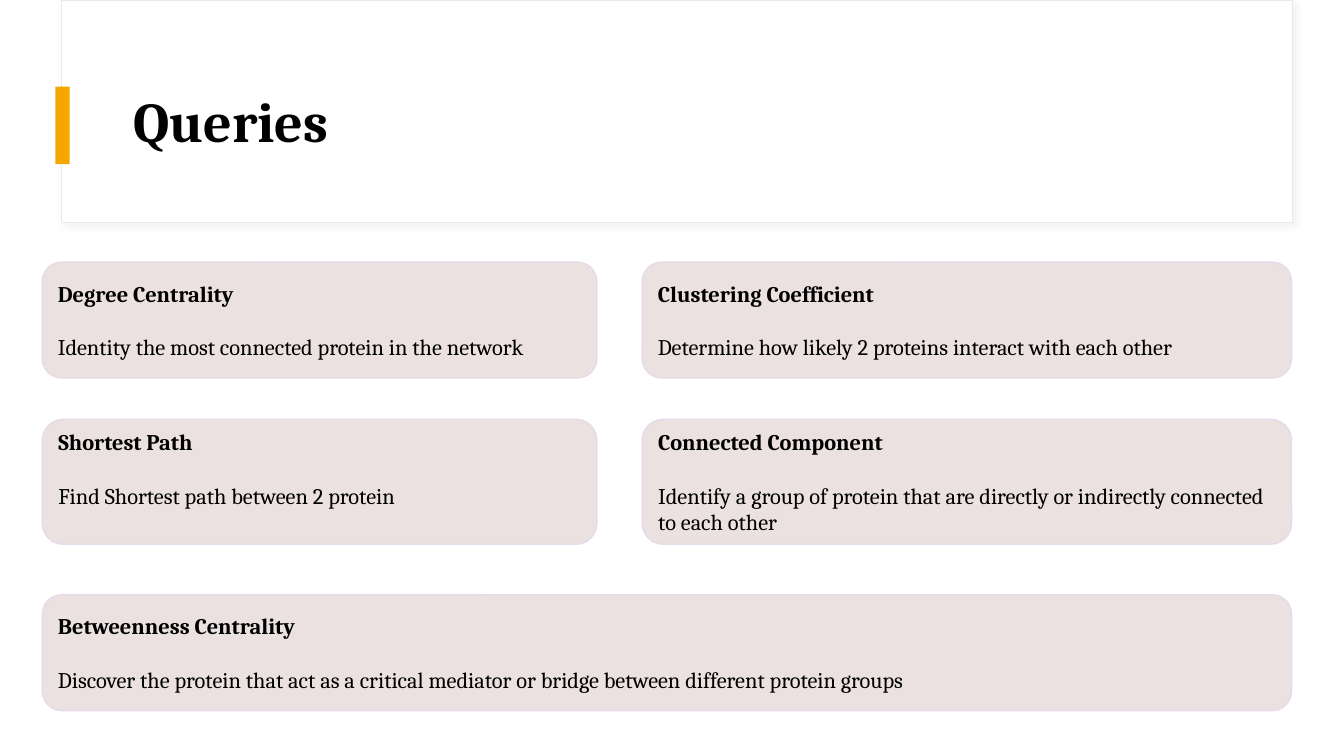
import pptx
import pptx.dml.color
import pptx.enum.shapes
import pptx.enum.text
import pptx.oxml
import pptx.oxml.ns
import pptx.util

Inches = pptx.util.Inches
Pt = pptx.util.Pt
SHAPE = pptx.enum.shapes.MSO_SHAPE
ANCHOR = pptx.enum.text.MSO_ANCHOR
ALIGN = pptx.enum.text.PP_ALIGN


def color(value):
    return pptx.dml.color.RGBColor.from_string(value)


class QueriesSlide:
    font = "Cambria"
    ink = "000000"
    card_fill = "EBE1E1"
    card_line = "E7DAEA"

    def __init__(self, deck):
        self.page = deck.slides.add_slide(deck.slide_layouts[5])

    def style(self, para, size, bold):
        para.alignment = ALIGN.LEFT
        for span in para.runs:
            span.font.name = self.font
            span.font.size = Pt(size)
            span.font.bold = bold
            span.font.color.rgb = color(self.ink)

    def shape(self, kind, left, top, width, height, fill, line=None, weight=1):
        box = self.page.shapes.add_shape(
            kind, Inches(left), Inches(top), Inches(width), Inches(height))
        box.shadow.inherit = False
        box.fill.solid()
        box.fill.fore_color.rgb = color(fill)
        if line:
            box.line.color.rgb = color(line)
            box.line.width = Pt(weight)
        else:
            box.line.fill.background()
        return box

    def header_panel(self):
        panel = self.shape(SHAPE.RECTANGLE, 0.61, 0, 12.21, 2.21, "FFFFFF", "E9E9E9", 0.75)
        effects = panel.element.spPr.find(pptx.oxml.ns.qn("a:effectLst"))
        effects.append(pptx.oxml.parse_xml(
            f'<a:outerShdw {pptx.oxml.ns.nsdecls("a")} blurRad="{Pt(4)}" dist="{Pt(3)}" '
            'dir="2700000" algn="tl" rotWithShape="0">'
            '<a:srgbClr val="D9D9D9"><a:alpha val="30000"/></a:srgbClr></a:outerShdw>'))
        self.shape(SHAPE.RECTANGLE, 0.55, 0.86, 0.14, 0.77, "F5A700")

    def title(self, text):
        box = self.page.shapes.title
        box.left, box.top = Inches(1.22), Inches(0.6)
        box.width, box.height = Inches(11.12), Inches(1.26)
        frame = box.text_frame
        frame.text = text
        frame.word_wrap = True
        frame.auto_size = pptx.enum.text.MSO_AUTO_SIZE.NONE
        frame.vertical_anchor = ANCHOR.MIDDLE
        para = frame.paragraphs[0]
        para.line_spacing = 0.9
        self.style(para, 40, True)
        box.element.getparent().append(box.element)

    def card(self, left, top, width, height, heading, detail, bottom_inset=0.05):
        box = self.shape(SHAPE.ROUNDED_RECTANGLE, left, top, width, height,
                         self.card_fill, self.card_line)
        frame = box.text_frame
        frame.word_wrap = True
        frame.vertical_anchor = ANCHOR.MIDDLE
        frame.margin_bottom = Inches(bottom_inset)
        frame.text = f"{heading}\n{detail}"
        for para, bold in zip(frame.paragraphs, (True, False)):
            self.style(para, 16, bold)
        frame.paragraphs[0].space_after = Pt(19)


def main():
    deck = pptx.Presentation()
    deck.slide_width, deck.slide_height = Inches(13.33), Inches(7.5)
    slide = QueriesSlide(deck)
    slide.header_panel()
    slide.title("Queries")

    left_column, right_column, full_width = (0.42, 5.5), (6.37, 6.44), (0.42, 12.39)
    first_row, second_row, third_row = (2.6, 1.15), (4.16, 1.24), (5.9, 1.15)
    cards = [
        (left_column, first_row, "Degree Centrality",
         "Identity the most connected protein in the network", 0.05),
        (left_column, second_row, "Shortest Path",
         "Find Shortest path between 2 protein", 0.31),
        (right_column, first_row, "Clustering Coefficient",
         "Determine how likely 2 proteins interact with each other", 0.05),
        (right_column, second_row, "Connected Component",
         "Identify a group of protein that are directly or indirectly connected to each other", 0.05),
        (full_width, third_row, "Betweenness Centrality",
         "Discover the protein that act as a critical mediator or bridge "
         "between different protein groups", 0.05),
    ]
    for (left, width), (top, height), heading, detail, bottom_inset in cards:
        slide.card(left, top, width, height, heading, detail, bottom_inset)
    deck.save("out.pptx")


if __name__ == "__main__":
    main()
